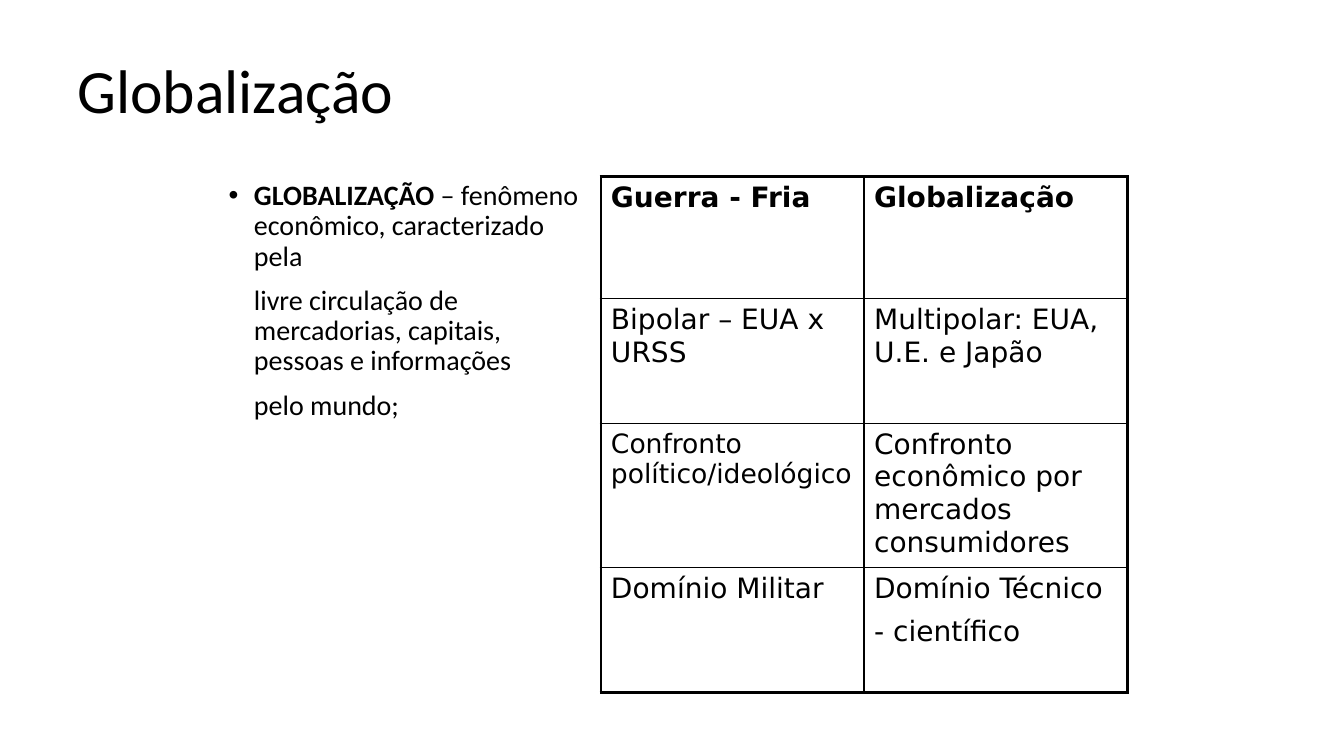
from dataclasses import dataclass

from lxml import etree
from pptx import Presentation
from pptx import util as u
from pptx.dml import color
from pptx.enum import text
from pptx.oxml import ns

EMU_PER_PX = 9144


@dataclass(frozen=True)
class Theme:
    ink: str = "000000"
    paper: str = "FFFFFF"
    heading_font: str = "Calibri"
    table_font: str = "DejaVu Sans"
    title_size: int = 44
    text_size: int = 20
    tight_size: int = 19
    spacer_size: int = 28
    line_spacing: float = 0.9
    paragraph_gap: int = 10
    outer_border: float = 2.25
    inner_border: float = 1


THEME = Theme()


@dataclass(frozen=True)
class Box:
    left: int
    top: int
    width: int
    height: int

    def emu(self) -> list[u.Emu]:
        return [px(n) for n in (self.left, self.top, self.width, self.height)]


@dataclass(frozen=True)
class Run:
    words: str
    size: int = THEME.text_size
    bold: bool = False
    font: str = THEME.heading_font


@dataclass(frozen=True)
class Paragraph:
    runs: tuple[Run, ...]
    indent: int = 0
    bullet: str = ""


def table_run(words: str, size: int = THEME.text_size, bold: bool = False) -> Run:
    return Run(words, size, bold, THEME.table_font)


TITLE_BOX = Box(67, 30, 1200, 125)
DEFINITION_BOX = Box(217, 175, 379, 495)
COMPARISON_BOX = Box(596, 175, 522, 512)
ROW_HEIGHTS = (121, 124, 143, 124)

TITLE = (Paragraph((Run("Globalização", THEME.title_size),)),)
DEFINITION = (
    Paragraph(
        (
            Run("GLOBALIZAÇÃO", bold=True),
            Run(" – fenômeno econômico, caracterizado pela"),
        ),
        25,
        "•",
    ),
    Paragraph(
        (Run("livre circulação de mercadorias, capitais, pessoas e informações"),), 25
    ),
    Paragraph((Run("pelo mundo;"),), 25),
)
COMPARISON = (
    (
        (table_run("Guerra - Fria", bold=True),),
        (table_run("Globalização", bold=True),),
    ),
    (
        (table_run("Bipolar – EUA x URSS"),),
        (table_run("Multipolar: EUA, U.E. e Japão"),),
    ),
    (
        (table_run("Confronto político/ideológico", THEME.tight_size),),
        (table_run("Confronto econômico por mercados consumidores"),),
    ),
    (
        (table_run("Domínio Militar"),),
        (
            table_run("Domínio Técnico - científico"),
            table_run(" ", THEME.spacer_size),
        ),
    ),
)


def px(length: int) -> u.Emu:
    return u.Emu(length * EMU_PER_PX)


def add_runs(line, runs: tuple[Run, ...]) -> None:
    for item in runs:
        run = line.add_run()
        run.text = item.words
        run.font.name = item.font
        run.font.size = u.Pt(item.size)
        run.font.bold = item.bold
        run.font.color.rgb = color.RGBColor.from_string(THEME.ink)


def add_text(slide, box: Box, paragraphs: tuple[Paragraph, ...], anchor) -> None:
    frame = slide.shapes.add_textbox(*box.emu()).text_frame
    frame.word_wrap = True
    frame.vertical_anchor = anchor
    for index, paragraph in enumerate(paragraphs):
        line = frame.add_paragraph() if index else frame.paragraphs[0]
        properties = line._p.get_or_add_pPr()
        properties.set("marL", str(px(paragraph.indent)))
        if paragraph.bullet:
            properties.set("indent", str(-px(paragraph.indent)))
            bullet_font = etree.SubElement(properties, ns.qn("a:buFont"))
            bullet_font.set("typeface", "Arial")
            bullet = etree.SubElement(properties, ns.qn("a:buChar"))
            bullet.set("char", paragraph.bullet)
        line.line_spacing = THEME.line_spacing
        if index:
            line.space_before = u.Pt(THEME.paragraph_gap)
        add_runs(line, paragraph.runs)


def add_borders(cell, outer_sides: dict[str, bool]) -> None:
    properties = cell._tc.get_or_add_tcPr()
    for side, is_outer in outer_sides.items():
        width = THEME.outer_border if is_outer else THEME.inner_border
        border = etree.SubElement(properties, ns.qn(f"a:ln{side}"))
        border.set("w", str(u.Pt(width)))
        fill = etree.SubElement(border, ns.qn("a:solidFill"))
        etree.SubElement(fill, ns.qn("a:srgbClr")).set("val", THEME.ink)


def add_comparison(slide) -> None:
    last_row, last_column = len(COMPARISON) - 1, len(COMPARISON[0]) - 1
    table = slide.shapes.add_table(
        last_row + 1, last_column + 1, *COMPARISON_BOX.emu()
    ).table
    table.first_row = table.horz_banding = False
    for column in table.columns:
        column.width = px(COMPARISON_BOX.width // (last_column + 1))
    for r, (height, cells) in enumerate(zip(ROW_HEIGHTS, COMPARISON)):
        table.rows[r].height = px(height)
        for c, runs in enumerate(cells):
            cell = table.cell(r, c)
            add_borders(
                cell,
                {"L": c == 0, "R": c == last_column, "T": r == 0, "B": r == last_row},
            )
            cell.fill.background()
            add_runs(cell.text_frame.paragraphs[0], runs)


def main() -> None:
    deck = Presentation()
    deck.slide_width, deck.slide_height = px(1333), px(750)
    slide = deck.slides.add_slide(deck.slide_layouts[6])
    slide.background.fill.solid()
    slide.background.fill.fore_color.rgb = color.RGBColor.from_string(THEME.paper)
    add_text(slide, TITLE_BOX, TITLE, text.MSO_ANCHOR.MIDDLE)
    add_text(slide, DEFINITION_BOX, DEFINITION, text.MSO_ANCHOR.TOP)
    add_comparison(slide)
    deck.save("out.pptx")


if __name__ == "__main__":
    main()
